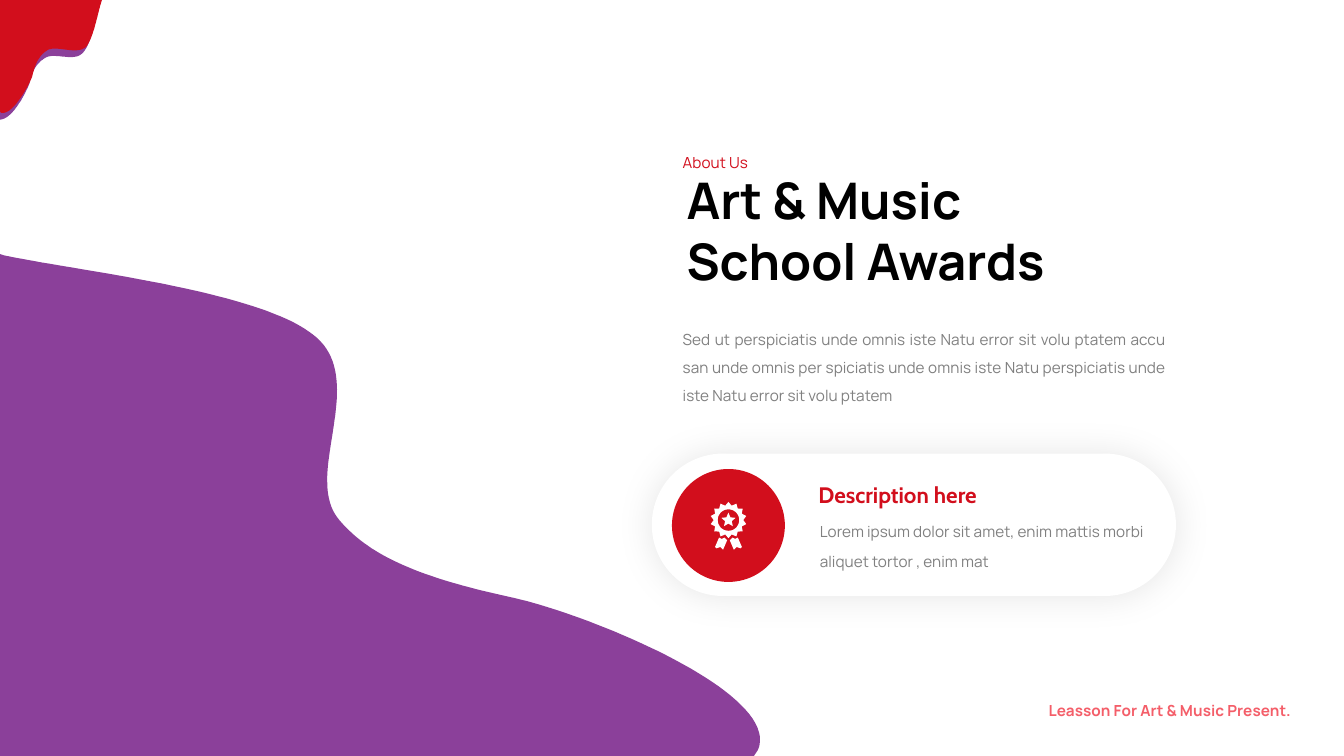
from dataclasses import dataclass
from math import cos, pi, sin

from lxml.etree import SubElement
from pptx import Presentation
from pptx.dml.color import RGBColor
from pptx.enum.shapes import MSO_SHAPE as Shape
from pptx.enum.text import PP_ALIGN as Align
from pptx.oxml.ns import qn
from pptx.util import Inches, Pt


@dataclass(frozen=True)
class Theme:
    purple: str = "8B409A"
    red: str = "D20E1C"
    pink: str = "F45E69"
    grey: str = "808080"
    black: str = "000000"
    white: str = "FFFFFF"
    font: str = "Manrope"
    label_font: str = "Cabin"
    title_size: float = 27
    label_size: float = 12
    body_size: float = 8.25


THEME = Theme()
WIDTH = 10
HEIGHT = WIDTH * 9 / 16
COLUMN = 0.501 * WIDTH  # left edge of the text column
COLUMN_WIDTH = 0.374 * WIDTH
CARD = (4.85, 0.6 * HEIGHT, 0.39 * WIDTH, 1.06)
DISC = (5, 3.49, 0.84, 0.84)
MEDAL_X, MEDAL_Y = DISC[0] + DISC[2] / 2, 3.87
NARROW = (0.07, 0.04, 0.07, 0.04)
NORMAL = (0.1, 0.05, 0.1, 0.05)
FLUSH = (0, 0.05, 0.1, 0.05)

# Outlines: a pair is a line to that point, six numbers are a cubic curve.
WAVE = [
    (5.61, HEIGHT), (0, HEIGHT), (0, 1.89), (0.03, 1.9),
    (0.54, 2.01, 1.92, 2.16, 2.33, 2.49), (2.75, 2.81, 2.26, 3.52, 2.51, 3.85),
    (2.76, 4.17, 3.23, 4.32, 3.83, 4.45), (4.4, 4.58, 5.82, 5.16, 5.64, 5.58),
]
SPLASH_BACK = [
    (0, 0.06), (0.73, 0.06),
    (0.71, 0.14, 0.68, 0.34, 0.61, 0.4), (0.55, 0.46, 0.4, 0.39, 0.34, 0.43),
    (0.27, 0.47, 0.24, 0.53, 0.22, 0.62), (0.19, 0.7, 0.09, 0.89, 0, 0.89),
]
SPLASH_FRONT = [
    (0, 0.83), (0, 0), (0.76, 0),
    (0.73, 0.08, 0.7, 0.28, 0.64, 0.35), (0.57, 0.41, 0.43, 0.34, 0.36, 0.37),
    (0.29, 0.41, 0.26, 0.48, 0.24, 0.57), (0.21, 0.65, 0.09, 0.86, 0.01, 0.84),
]
# Right ribbon as offsets from the middle of the medal
RIBBON = [(0.07, 0.13), (0.1, 0.2), (0.09, 0.21), (0.06, 0.2), (0.04, 0.22),
          (0.01, 0.15), (0.03, 0.13), (0.05, 0.14)]

# text, (left, top, width, height), insets, size, font, colour, bold, align, line spacing
TEXTS = [
    ("Sed ut perspiciatis unde omnis iste Natu error sit volu ptatem accu san unde omnis per "
     "spiciatis unde omnis iste Natu perspiciatis unde iste Natu error sit volu ptatem",
     (COLUMN, 2.35, COLUMN_WIDTH, 0.7), NARROW,
     THEME.body_size, THEME.font, THEME.grey, False, Align.JUSTIFY, 1.5),
    ("Leasson For Art & Music Present.", (6.87, 5.11, 2.81, 0.28), NARROW,
     THEME.body_size, THEME.font, THEME.pink, True, Align.RIGHT, 1.5),
    ("Art & Music School Awards", (COLUMN, 1.21, 3.11, 1.01), NORMAL,
     THEME.title_size, THEME.font, THEME.black, True, Align.LEFT, 1.0),
    ("About Us", (COLUMN, 1.03, 1.26, 0.28), NARROW,
     THEME.body_size, THEME.font, THEME.red, False, Align.JUSTIFY, 1.5),
    ("Lorem ipsum dolor sit amet, enim mattis morbi aliquet tortor , enim mat",
     (6.1, 3.76, 2.52, 0.55), FLUSH,
     THEME.body_size, THEME.font, THEME.grey, False, Align.LEFT, Pt(15.6)),
    ("Description here", (5.99, 3.53, 2.12, 0.3), NORMAL,
     THEME.label_size, THEME.label_font, THEME.red, True, Align.LEFT, 1.0),
]


def flatten(outline, steps=40):
    """Turn lines and cubic curves into a list of points."""
    points = []
    for part in outline:
        if len(part) == 2:
            points.append(part)
            continue
        start = points[-1]
        knots = [start, part[:2], part[2:4], part[4:]]
        for step in range(1, steps + 1):
            t = step / steps
            weights = ((1 - t) ** 3, 3 * t * (1 - t) ** 2, 3 * t * t * (1 - t), t ** 3)
            points.append(tuple(sum(w * knot[axis] for w, knot in zip(weights, knots))
                                for axis in (0, 1)))
    return points


def ring(count, *radii):
    """Points around the medal's middle, clockwise from the top, cycling through radii."""
    total = count * len(radii)
    return [(MEDAL_X + radii[i % len(radii)] * sin(2 * pi * i / total),
             MEDAL_Y - radii[i % len(radii)] * cos(2 * pi * i / total))
            for i in range(total)]


def paint(shape, colour):
    shape.fill.solid()
    shape.fill.fore_color.rgb = RGBColor.from_string(colour)
    shape.line.fill.background()
    shape.shadow.inherit = False
    return shape


def add_outline(shapes, colour, *contours):
    contours = [[(x * 1000, y * 1000) for x, y in contour] for contour in contours]
    builder = shapes.build_freeform(*contours[0][0], scale=Inches(1) / 1000)
    for number, contour in enumerate(contours):
        if number:
            builder.move_to(*contour[0])
        builder.add_line_segments(contour[1:], close=True)
    return paint(builder.convert_to_shape(), colour)


def add_preset(shapes, kind, box, colour):
    return paint(shapes.add_shape(kind, *map(Inches, box)), colour)


def add_glow(shape, blur, percent):
    effects = shape._element.spPr.find(qn("a:effectLst"))
    shadow = SubElement(effects, qn("a:outerShdw"), blurRad=str(Pt(blur)), dist="0",
                        algn="ctr", rotWithShape="0")
    colour = SubElement(shadow, qn("a:srgbClr"), val=THEME.black)
    SubElement(colour, qn("a:alpha"), val=str(percent * 1000))


def add_text(shapes, text, box, insets, size, font, colour, bold, align, spacing):
    frame = shapes.add_textbox(*map(Inches, box)).text_frame
    frame.word_wrap = True
    (frame.margin_left, frame.margin_top,
     frame.margin_right, frame.margin_bottom) = map(Inches, insets)
    paragraph = frame.paragraphs[0]
    paragraph.alignment = align
    paragraph.line_spacing = spacing
    run = paragraph.add_run()
    run.text = text
    run.font.size = Pt(size)
    run.font.name = font
    run.font.bold = bold
    run.font.color.rgb = RGBColor.from_string(colour)


def add_medal(shapes):
    medal = shapes.add_group_shape().shapes
    add_outline(medal, THEME.white, ring(14, 0.135, 0.11), ring(48, 0.08)[::-1])
    for side in (1, -1):
        add_outline(medal, THEME.white,
                    [(MEDAL_X + side * x, MEDAL_Y + y) for x, y in RIBBON])
    add_outline(medal, THEME.white, ring(5, 0.056, 0.026))


def main():
    presentation = Presentation()
    presentation.slide_width, presentation.slide_height = Inches(WIDTH), Inches(HEIGHT)
    shapes = presentation.slides.add_slide(presentation.slide_layouts[6]).shapes

    add_outline(shapes, THEME.purple, flatten(WAVE))
    card = add_preset(shapes, Shape.ROUNDED_RECTANGLE, CARD, THEME.white)
    card.adjustments[0] = 0.5
    add_glow(card, blur=20, percent=10)
    add_preset(shapes, Shape.OVAL, DISC, THEME.red)

    splash = shapes.add_group_shape().shapes
    add_outline(splash, THEME.purple, flatten(SPLASH_BACK))
    add_outline(splash, THEME.red, flatten(SPLASH_FRONT))

    for entry in TEXTS:
        add_text(shapes, *entry)
    add_medal(shapes)
    presentation.save("out.pptx")


if __name__ == "__main__":
    main()
